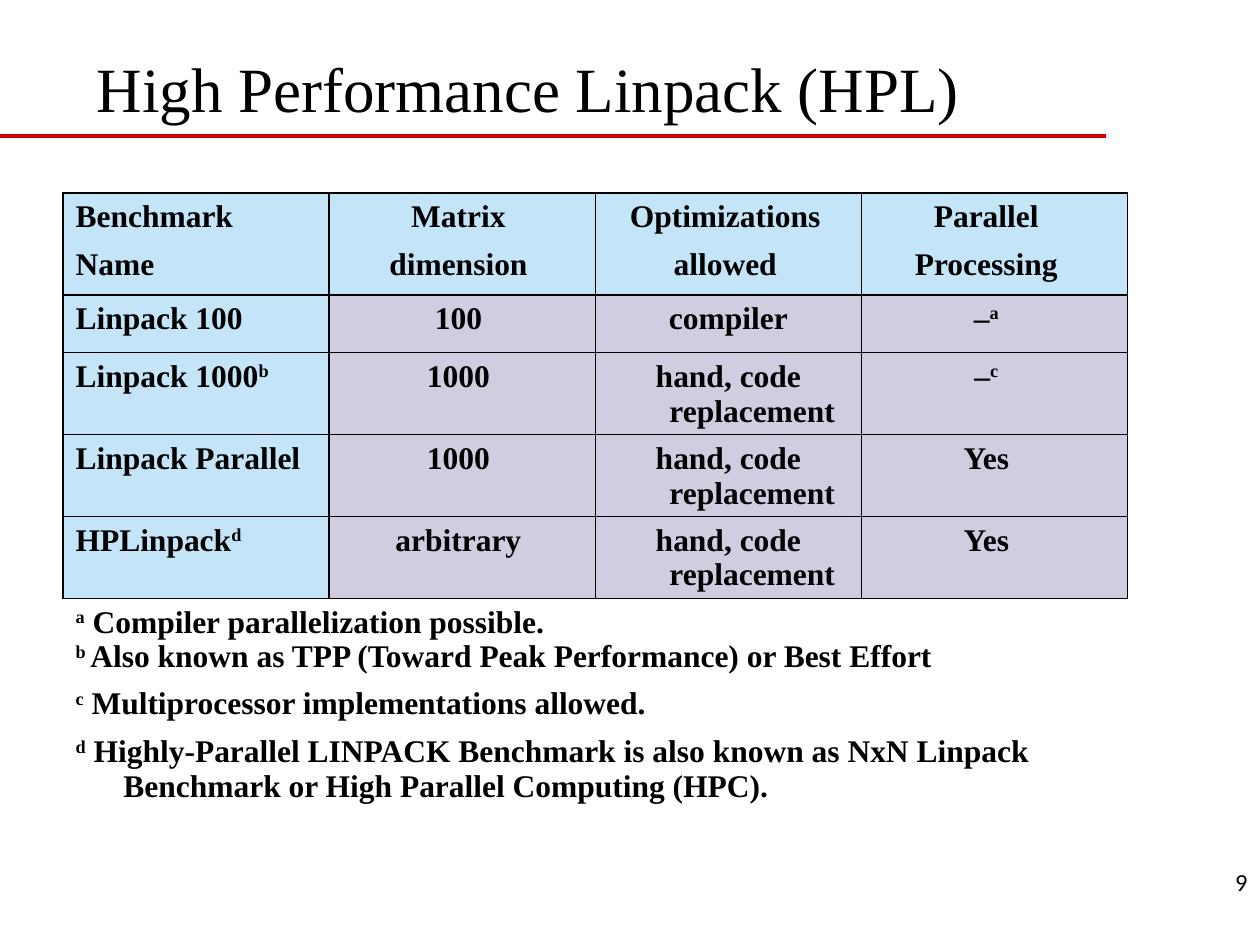
from dataclasses import dataclass

from lxml.etree import SubElement
from pptx import Presentation
from pptx.dml.color import RGBColor
from pptx.enum.shapes import MSO_CONNECTOR
from pptx.enum.text import MSO_ANCHOR, PP_ALIGN
from pptx.oxml.ns import qn
from pptx.util import Inches, Pt

WIDTH, HEIGHT = 10, 7.5
SERIF = "Times New Roman"
BLACK, RED, BLUE, LILAC = "000000", "CC0000", "C4E4F8", "D1CDE1"
HANGING = Inches(0.38)
TABLE_WIDTH = 8.45
HEADER_MARGINS = (0.1, 0.16, 0.15, 0.23)
BODY_MARGINS = (0.1, 0.16, 0.1, 0.23)
ONE_LINE, TWO_LINES = 0.38, 0.65


@dataclass(frozen=True)
class Row:
    """One table row; text between ^ marks is superscript."""
    height: float
    texts: tuple[str, ...]
    fills: tuple[str, ...] = ()
    margins: tuple[float, ...] = BODY_MARGINS
    top: bool = True
    bottom: bool = True


HEADER = (BLUE,) * 4
BODY = (BLUE,) + (LILAC,) * 3
ROWS = (
    Row(ONE_LINE, ("Benchmark", "Matrix", "Optimizations", "Parallel"),
        HEADER, HEADER_MARGINS, bottom=False),
    Row(0.43, ("Name", "dimension", "allowed", "Processing"),
        HEADER, HEADER_MARGINS, top=False),
    Row(0.46, ("Linpack 100", "100", "compiler", "–^a"), BODY),
    Row(TWO_LINES, ("Linpack 1000^b", "1000", "hand, code replacement", "–^c"), BODY),
    Row(TWO_LINES, ("Linpack Parallel", "1000", "hand, code replacement", "Yes"), BODY),
    Row(TWO_LINES, ("HPLinpack^d", "arbitrary", "hand, code replacement", "Yes"), BODY),
    Row(TWO_LINES, ("^a^ Compiler parallelization possible.\n"
                    "^b ^Also known as TPP (Toward Peak Performance) or Best Effort",), bottom=False),
    Row(ONE_LINE, ("^c^ Multiprocessor implementations allowed.",), top=False, bottom=False),
    Row(TWO_LINES, ("^d^ Highly-Parallel LINPACK Benchmark is also known as NxN Linpack "
                    "Benchmark or High Parallel Computing (HPC).",), top=False, bottom=False),
)


def color(value: str) -> RGBColor:
    return RGBColor.from_string(value)


def style_span(span, size: float, font: str = SERIF, bold: bool = False) -> None:
    span.font.name, span.font.size, span.font.bold = font, Pt(size), bold
    span.font.color.rgb = color(BLACK)


def add_label(page, text: str, place: tuple, size: float, font: str, anchor, align) -> None:
    left, top, width, height = place
    box = page.shapes.add_textbox(Inches(left * WIDTH), Inches(top * HEIGHT),
                                  Inches(width * WIDTH), Inches(height * HEIGHT))
    frame = box.text_frame
    frame.word_wrap, frame.vertical_anchor = True, anchor
    frame.text = text
    para = frame.paragraphs[0]
    para.alignment = align
    style_span(para.runs[0], size, font)


def add_rule(page, share_across: float, share_down: float) -> None:
    height = Inches(share_down * HEIGHT)
    rule = page.shapes.add_connector(MSO_CONNECTOR.STRAIGHT, 0, height,
                                     Inches(share_across * WIDTH), height)
    rule.line.color.rgb, rule.line.width = color(RED), Pt(2.25)
    SubElement(rule._element.spPr, qn("a:effectLst"))


def set_borders(cell, left: bool, right: bool, top: bool, bottom: bool) -> None:
    properties = cell._tc.get_or_add_tcPr()
    for side, visible in zip("LRTB", (left, right, top, bottom)):
        line = SubElement(properties, qn(f"a:ln{side}"), w=str(Pt(1)))
        if visible:
            SubElement(SubElement(line, qn("a:solidFill")), qn("a:srgbClr"), val=BLACK)
        else:
            SubElement(line, qn("a:noFill"))


def write_cell(cell, text: str, align) -> None:
    """Write hanging paragraphs, raising the text between ^ marks."""
    cell.text_frame.text = text.replace("^", "")
    for para, line in zip(cell.text_frame.paragraphs, text.split("\n")):
        para.clear()
        para.alignment = align
        layout = para._p.get_or_add_pPr()
        layout.set("marL", str(HANGING))
        layout.set("indent", str(-HANGING))
        for index, part in enumerate(line.split("^")):
            if part:
                span = para.add_run()
                span.text = part
                style_span(span, 18, bold=True)
                if index % 2:
                    span.font._element.set("baseline", "30000")


def add_benchmark_table(page) -> None:
    columns = len(HEADER)
    frame = page.shapes.add_table(len(ROWS), columns, Inches(0.5), Inches(1.53),
                                  Inches(TABLE_WIDTH),
                                  Inches(sum(row.height for row in ROWS)))
    table = frame.table
    table.first_row = table.horz_banding = False
    for index, row in enumerate(ROWS):
        table.rows[index].height = Inches(row.height)
        boxed = bool(row.fills)
        if not boxed:
            table.cell(index, 0).merge(table.cell(index, columns - 1))
        for column in range(columns):
            cell = table.cell(index, column)
            set_borders(cell, boxed, boxed, row.top, row.bottom)
            cell.margin_bottom = 0
            if boxed:
                cell.fill.solid()
                cell.fill.fore_color.rgb = color(row.fills[column])
                cell.margin_right = Inches(row.margins[column])
            else:
                cell.fill.background()
        for column, text in enumerate(row.texts):
            write_cell(table.cell(index, column), text,
                       PP_ALIGN.CENTER if column else PP_ALIGN.LEFT)


def main() -> None:
    deck = Presentation()
    deck.slide_width, deck.slide_height = Inches(WIDTH), Inches(HEIGHT)
    page = deck.slides.add_slide(deck.slide_layouts[6])
    add_rule(page, 0.878, 0.144)
    add_label(page, "9", (0.792, 0.9, 0.208, 0.067), 14, "Calibri",
              MSO_ANCHOR.MIDDLE, PP_ALIGN.RIGHT)
    add_label(page, "High Performance Linpack (HPL)", (0.067, -0.022, 0.85, 0.161), 36,
              SERIF, MSO_ANCHOR.BOTTOM, PP_ALIGN.LEFT)
    add_benchmark_table(page)
    deck.save("out.pptx")


if __name__ == "__main__":
    main()
